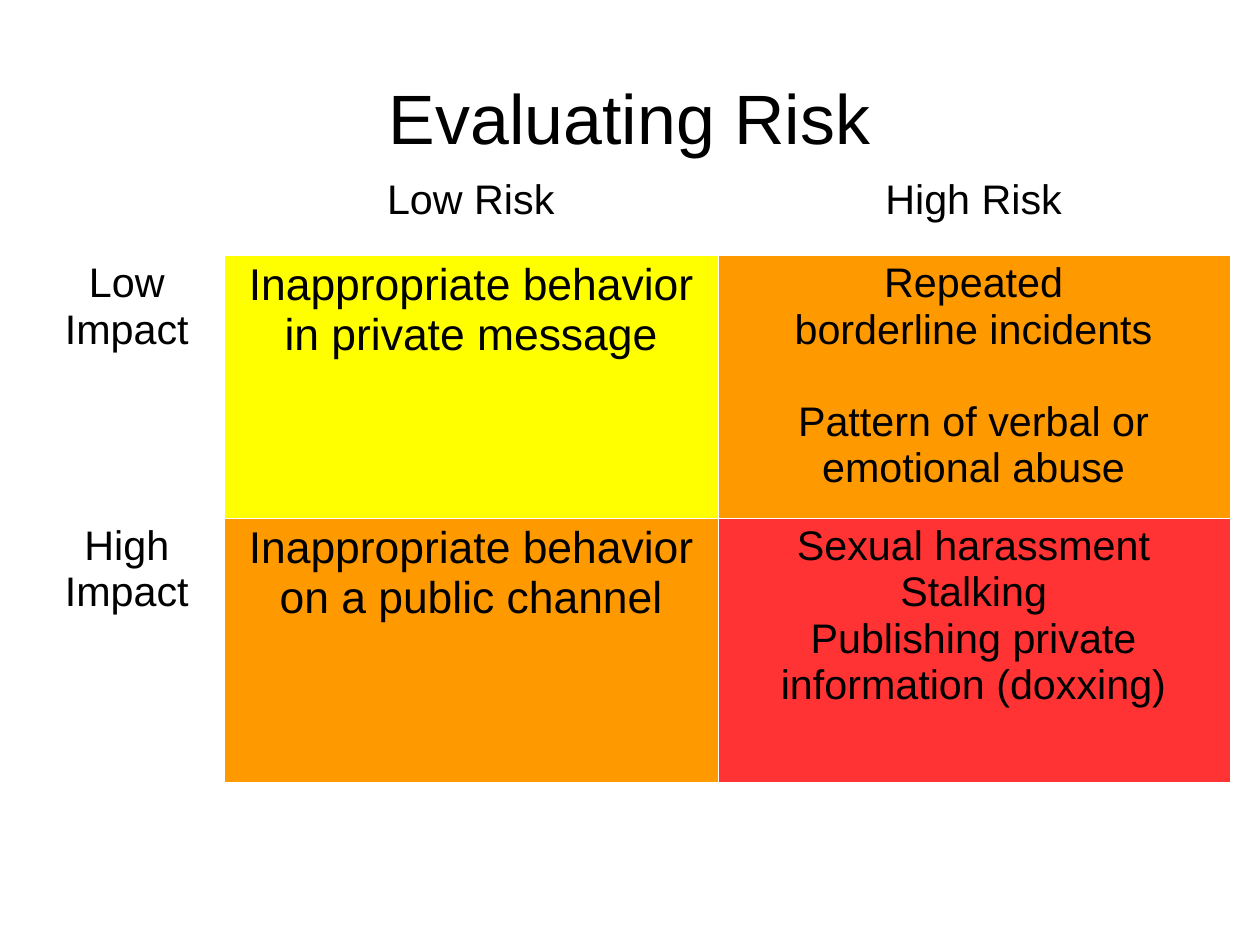
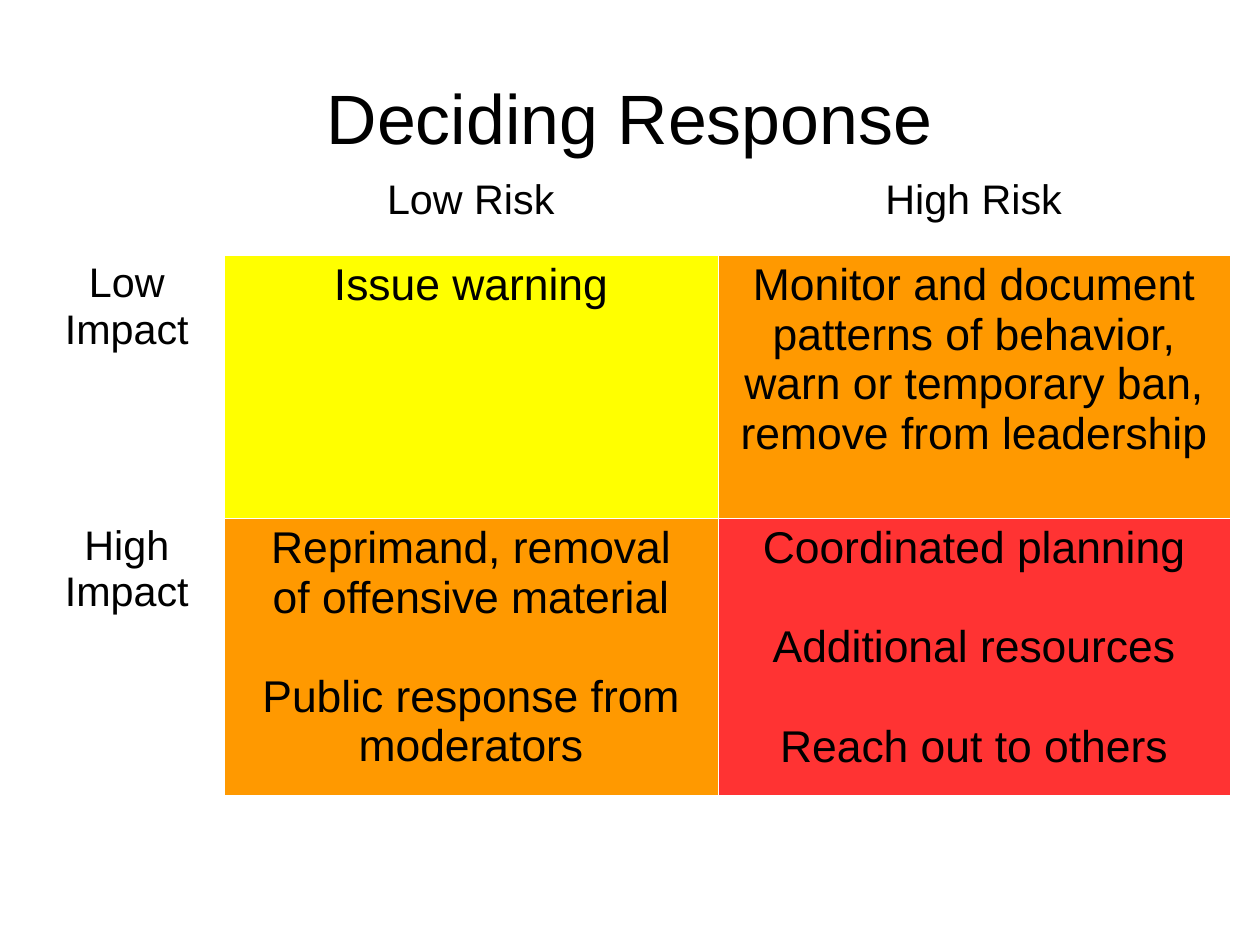
from lxml import etree
from pptx import Presentation
from pptx.dml.color import RGBColor
from pptx.enum import text
from pptx.oxml import ns
from pptx.util import Cm, Inches, Pt

FONT = "Arial"
BLACK, WHITE = "000000", "FFFFFF"
YELLOW, ORANGE, RED = "FFFF00", "FF9900", "FF3333"
TITLE_SIZE, LABEL_SIZE, LARGE_SIZE = 44, 26, 28
LINE_HEIGHT = 1.117  # height of one text line relative to the font size

TITLE_BOX = (0.55, 0.33, 9.92, 1.38)
MATRIX_ORIGIN = (0.26, 1.5)
COLUMN_WIDTHS = (1.7, 4.32, 4.48)
CELL_FILLS = (
    (WHITE, WHITE, WHITE),
    (WHITE, YELLOW, ORANGE),
    (WHITE, ORANGE, RED),
)


def colour(value):
    return RGBColor.from_string(value)


def label(*lines):
    """A cell's font size and its groups of lines."""
    return LABEL_SIZE, [lines]


def add_line(paragraph, line, size):
    paragraph.alignment = text.PP_ALIGN.CENTER
    run = paragraph.add_run()
    run.text = line
    run.font.name = FONT
    run.font.size = Pt(size)
    run.font.color.rgb = colour(BLACK)


def fill_text(frame, size, groups):
    """Write one paragraph per line, with one line of space between groups."""
    paragraph = None
    for group_index, group in enumerate(groups):
        for line_index, line in enumerate(group):
            paragraph = frame.paragraphs[0] if paragraph is None else frame.add_paragraph()
            if group_index and not line_index:
                paragraph.space_before = Pt(round(size * LINE_HEIGHT, 1))
            add_line(paragraph, line, size)


def set_borders(cell):
    properties = cell._tc.get_or_add_tcPr()
    for index, side in enumerate(("lnL", "lnR", "lnT", "lnB")):
        border = etree.Element(ns.qn("a:" + side), w=str(Pt(0.06)))
        fill = etree.SubElement(border, ns.qn("a:solidFill"))
        etree.SubElement(fill, ns.qn("a:srgbClr"), val=WHITE)
        properties.insert(index, border)


def add_title(slide, box, title):
    frame = slide.shapes.add_textbox(*map(Inches, box)).text_frame
    frame.word_wrap = True
    frame.vertical_anchor = text.MSO_ANCHOR.MIDDLE
    frame.margin_left = frame.margin_right = 0
    frame.margin_top = frame.margin_bottom = 0
    add_line(frame.paragraphs[0], title, TITLE_SIZE)


def add_matrix(slide, origin, row_heights, rows):
    size = (sum(COLUMN_WIDTHS), sum(row_heights))
    table = slide.shapes.add_table(
        len(row_heights), len(COLUMN_WIDTHS), *map(Inches, origin + size)
    ).table
    table.first_row = table.horz_banding = False
    for column, width in zip(table.columns, COLUMN_WIDTHS):
        column.width = Inches(width)
    for row, height, contents, fills in zip(table.rows, row_heights, rows, CELL_FILLS):
        row.height = Inches(height)
        for cell, content, fill in zip(row.cells, contents, fills):
            cell.fill.solid()
            cell.fill.fore_color.rgb = colour(fill)
            cell.margin_left = cell.margin_right = Inches(0.1)
            cell.margin_top = cell.margin_bottom = Inches(0.05)
            set_borders(cell)
            fill_text(cell.text_frame, *content)


def add_risk_slide(presentation, title, last_row_height, low_impact, high_impact):
    slide = presentation.slides.add_slide(presentation.slide_layouts[6])
    add_title(slide, TITLE_BOX, title)
    rows = (
        (label(), label("Low Risk"), label("High Risk")),
        (label("Low", "Impact"), *low_impact),
        (label("High", "Impact"), *high_impact),
    )
    add_matrix(slide, MATRIX_ORIGIN, (0.73, 2.3, last_row_height), rows)


def main():
    presentation = Presentation()
    presentation.slide_width = Cm(28)
    presentation.slide_height = Cm(21)

    add_risk_slide(
        presentation, "Evaluating Risk", 2.31,
        low_impact=(
            (LARGE_SIZE, [("Inappropriate behavior", "in private message")]),
            (LABEL_SIZE, [("Repeated", "borderline incidents"),
                          ("Pattern of verbal or", "emotional abuse")]),
        ),
        high_impact=(
            (LARGE_SIZE, [("Inappropriate behavior", "on a public channel")]),
            (LABEL_SIZE, [("Sexual harassment", "Stalking",
                           "Publishing private", "information (doxxing)")]),
        ),
    )
    add_risk_slide(
        presentation, "Deciding Response", 2.43,
        low_impact=(
            (LARGE_SIZE, [("Issue warning",)]),
            (LARGE_SIZE, [("Monitor and document", "patterns of behavior,",
                           "warn or temporary ban,", "remove from leadership")]),
        ),
        high_impact=(
            (LARGE_SIZE, [("Reprimand, removal", "of offensive material"),
                          ("Public response from", "moderators")]),
            (LARGE_SIZE, [("Coordinated planning",), ("Additional resources",),
                          ("Reach out to others",)]),
        ),
    )
    presentation.save("out.pptx")


if __name__ == "__main__":
    main()
